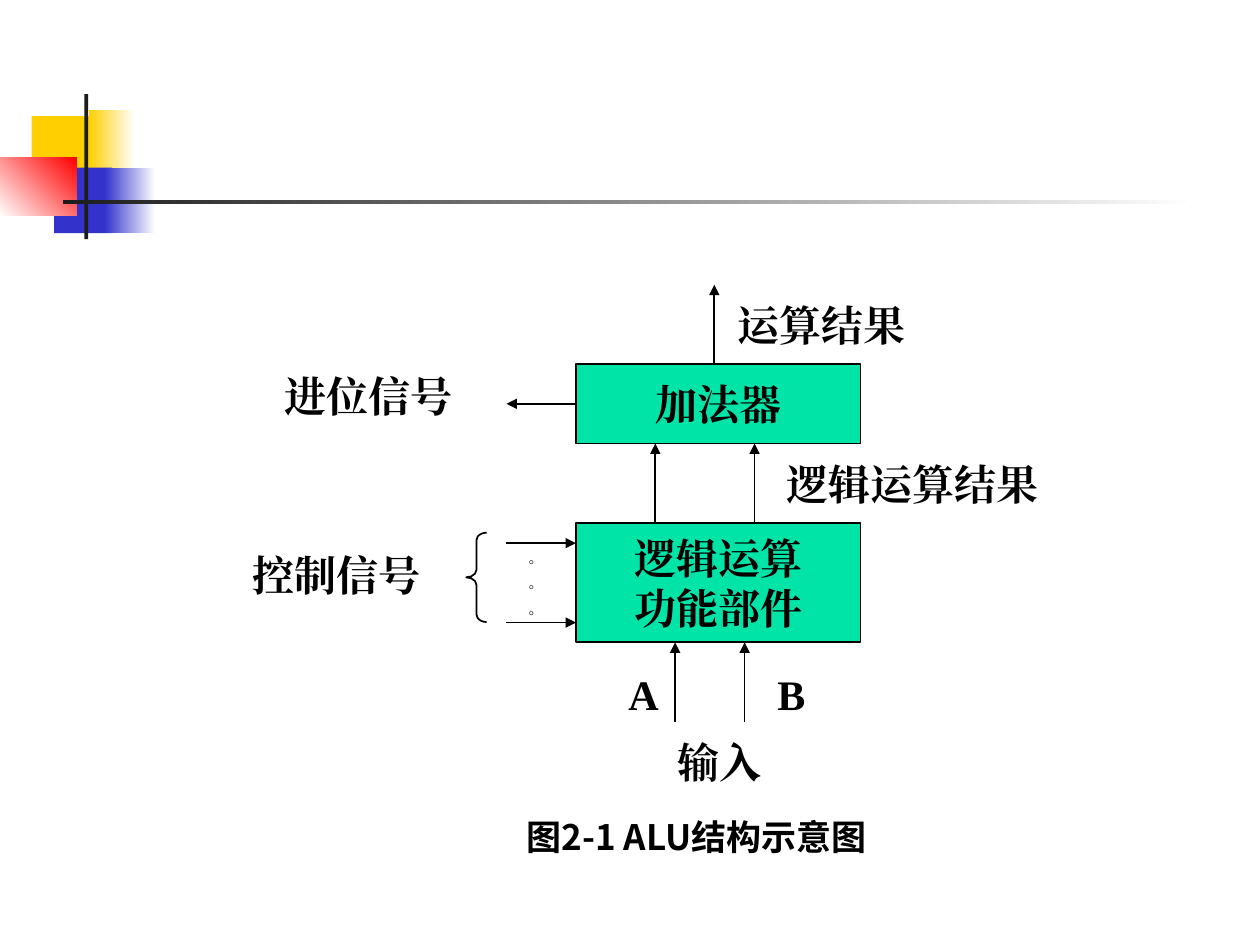
import pptx
import pptx.dml.color
import pptx.enum.shapes
import pptx.enum.text
import pptx.oxml
import pptx.oxml.ns
import pptx.util
import lxml.etree

Cm = pptx.util.Cm
SHAPES = pptx.enum.shapes.MSO_SHAPE
ANCHOR = pptx.enum.text.MSO_ANCHOR
ALIGN = pptx.enum.text.PP_ALIGN
FIT = pptx.enum.text.MSO_AUTO_SIZE

THEME = {
    "ink": "000000", "rule": "1C1C1C", "paper": "FFFFFF", "box": "00E4A8",
    "yellow": "FFCF01", "blue": "3333CC", "red": "FF0000",
    "label_size": 24, "caption_size": 20, "dot_size": 8, "line": 1,
    "font": "Times New Roman", "caption_font": "Noto Sans CJK SC",
}


def color(name):
    return pptx.dml.color.RGBColor.from_string(THEME[name])


def write(shape, lines, size, font="font", align=ALIGN.LEFT, space=0, **frame_format):
    """Fill a shape with bold paragraphs in one font for all scripts."""
    frame = shape.text_frame
    for name, value in frame_format.items():
        setattr(frame, name, value)
    frame.text = "\n".join(lines)
    for paragraph in frame.paragraphs:
        paragraph.alignment = align
        paragraph.space_before = pptx.util.Pt(space)
        run = paragraph.runs[0]
        run.font.color.rgb = color("ink")
        values = {"size": pptx.util.Pt(THEME[size]), "name": THEME[font], "bold": True}
        for name, value in values.items():
            setattr(run.font, name, value)
        east_asian = lxml.etree.SubElement(
            run.font._element, pptx.oxml.ns.qn("a:ea"))
        east_asian.set("typeface", THEME[font])


presentation = pptx.Presentation()
presentation.slide_width, presentation.slide_height = Cm(25.4), Cm(19.05)
slide = presentation.slides.add_slide(presentation.slide_layouts[5])

# Corner ornament: place, gradient start, gradient end, angle
ornament = [
    ((0.64, 2.34, 1.22, 1.32), "yellow", None, 0),
    ((1.8, 2.21, 0.91, 1.32), "yellow", "paper", 0),
    ((1.09, 3.38, 1.17, 1.32), "blue", None, 0),
    ((2.11, 3.38, 1.02, 1.32), "blue", "paper", 0),
    ((0, 3.18, 1.55, 1.17), "paper", "red", 45),
    ((1.7, 1.9, 0.08, 2.92), "rule", None, 0),
    ((1.27, 4.04, 22.86, 0.08), "rule", "paper", 0),
]
for place, start, end, angle in ornament:
    shape = slide.shapes.add_shape(SHAPES.RECTANGLE, *map(Cm, place))
    shape.shadow.inherit = False
    shape.line.fill.background()
    if end is None:
        shape.fill.solid()
        shape.fill.fore_color.rgb = color(start)
    else:
        shape.fill.gradient()
        shape.fill.gradient_angle = angle
        for stop, name in zip(shape.fill.gradient_stops, (start, end)):
            stop.color.rgb = color(name)

# Functional units
box_left, box_width = 11.61, 5.74
adder_top, adder_height = 7.34, 1.6
logic_top, logic_height = 10.54, 2.41
units = [
    (adder_top, adder_height, ["加法器"]),
    (logic_top, logic_height, ["逻辑运算", "功能部件"]),
]
for top, height, lines in units:
    shape = slide.shapes.add_shape(
        SHAPES.RECTANGLE, Cm(box_left), Cm(top), Cm(box_width), Cm(height))
    shape.shadow.inherit = False
    shape.fill.solid()
    shape.fill.fore_color.rgb = color("box")
    shape.line.color.rgb = color("ink")
    shape.line.width = pptx.util.Pt(THEME["line"])
    write(shape, lines, "label_size", align=ALIGN.CENTER,
          vertical_anchor=ANCHOR.MIDDLE, word_wrap=False)

# Arrows: upward ones end a fixed rise above their start
rise, reach = 1.6, 1.4
logic_bottom = logic_top + logic_height
upward = [(14.4, adder_top), (15.21, logic_top), (13.21, logic_top),
          (13.61, logic_bottom + rise), (15.01, logic_bottom + rise)]
arrows = [(x, y, x, y - rise) for x, y in upward]
carry_y = adder_top + adder_height / 2
arrows.append((box_left, carry_y, box_left - reach, carry_y))
arrows += [(box_left - reach, y, box_left, y) for y in (10.95, 12.55)]
for ends in arrows:
    arrow = slide.shapes.add_connector(
        pptx.enum.shapes.MSO_CONNECTOR.STRAIGHT, *map(Cm, ends))
    arrow.line.color.rgb = color("ink")
    arrow.line.width = pptx.util.Pt(THEME["line"])
    head = lxml.etree.SubElement(
        arrow.line._get_or_add_ln(), pptx.oxml.ns.qn("a:tailEnd"))
    head.set("type", "triangle")
    lxml.etree.SubElement(arrow._element.spPr, pptx.oxml.ns.qn("a:effectLst"))

# Brace around the control signals
brace = slide.shapes.add_shape(
    SHAPES.LEFT_BRACE, Cm(9.4), Cm(10.74), Cm(0.41), Cm(1.8))
brace.shadow.inherit = False
brace.fill.background()
brace.line.color.rgb = color("ink")
brace.line.width = pptx.util.Pt(THEME["line"])
brace.adjustments[0] = 0.37

# Labels: lines, place, size, space before, wrap
labels = [
    (["。"] * 3, (10.41, 10.95, 0.81, 1.63), "dot_size", 5, True),
    (["运算结果"], (14.61, 5.92, 5.26, 1.27), "label_size", 0, True),
    (["逻辑运算结果"], (15.6, 9.12, 6.17, 1.27), "label_size", 0, True),
    (["进位信号"], (5.49, 7.34, 4.83, 1.27), "label_size", 0, True),
    (["控制信号"], (4.85, 10.95, 4.85, 1.27), "label_size", 0, True),
    (["A"], (12.42, 13.36, 1.12, 1.27), "label_size", 0, False),
    (["B"], (15.42, 13.36, 1.07, 1.27), "label_size", 0, False),
    (["输入"], (13.41, 14.73, 3.51, 1.27), "label_size", 0, True),
]
for lines, place, size, space, wrap in labels:
    label = slide.shapes.add_textbox(*map(Cm, place))
    write(label, lines, size, space=space, word_wrap=wrap,
          auto_size=FIT.SHAPE_TO_FIT_TEXT)

# Figure caption as the slide title
caption = slide.shapes.title
place = {"left": 10.36, "top": 16.31, "width": 9.09, "height": 1.12}
for name, value in place.items():
    setattr(caption, name, Cm(value))
write(caption, ["图2-1 ALU结构示意图"], "caption_size", font="caption_font",
      vertical_anchor=ANCHOR.TOP, word_wrap=True, auto_size=FIT.SHAPE_TO_FIT_TEXT)

presentation.save("out.pptx")
